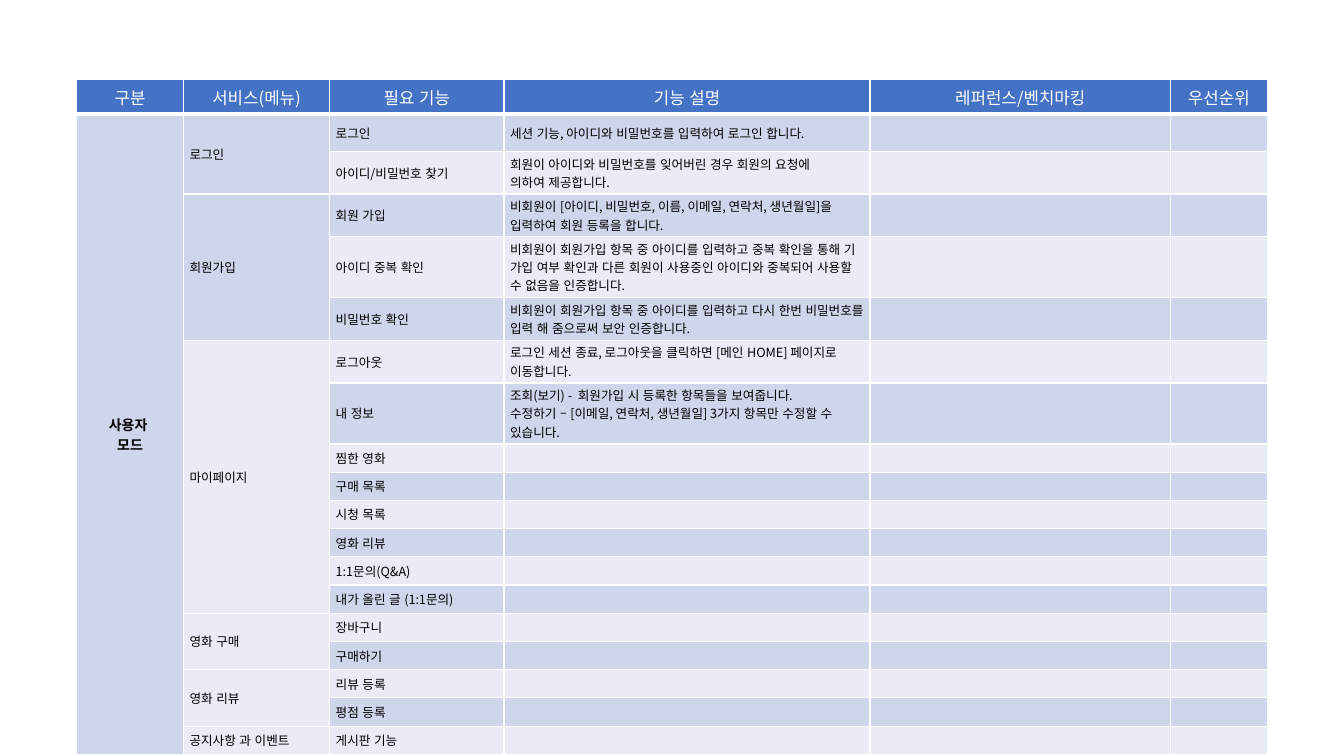
"""Build the feature list slide for a movie service's user mode."""
from dataclasses import dataclass
from lxml import etree
from pptx import Presentation
from pptx.dml.color import RGBColor
from pptx.enum.lang import MSO_LANGUAGE_ID
from pptx.enum.text import MSO_ANCHOR, PP_ALIGN
from pptx.oxml.ns import qn
from pptx.util import Inches, Pt

MIDDLE, CENTER, LEFT = MSO_ANCHOR.MIDDLE, PP_ALIGN.CENTER, PP_ALIGN.LEFT
KOREAN = MSO_LANGUAGE_ID.KOREAN

HEADERS = ["구분", "서비스(메뉴)", "필요 기능", "기능 설명", "레퍼런스/벤치마킹", "우선순위"]
MODE = ["사용자 ", "모드"]
SERVICES = [
    ("로그인", [
        ("로그인", ["세션 기능, 아이디와 비밀번호를 입력하여 로그인 합니다."]),
        ("아이디/비밀번호 찾기", ["회원이 아이디와 비밀번호를 잊어버린 경우 회원의 요청에",
                         "의하여 제공합니다."]),
    ]),
    ("회원가입", [
        ("회원 가입", ["비회원이 [아이디, 비밀번호, 이름, 이메일, 연락처, 생년월일]을 입력하여 "
                   "회원 등록을 합니다."]),
        ("아이디 중복 확인", ["비회원이 회원가입 항목 중 아이디를 입력하고 중복 확인을 통해 기 가입 여부 "
                       "확인과 다른 회원이 사용중인 아이디와 중복되어 사용할 수 없음을 인증합니다."]),
        ("비밀번호 확인", ["비회원이 회원가입 항목 중 아이디를 입력하고 다시 한번 비밀번호를 "
                     "입력 해 줌으로써 보안 인증합니다."]),
    ]),
    ("마이페이지", [
        ("로그아웃", ["로그인 세션 종료, 로그아웃을 클릭하면 [메인 HOME] 페이지로 이동합니다."]),
        ("내 정보", ["조회(보기) -  회원가입 시 등록한 항목들을 보여줍니다.",
                  "수정하기 – [이메일, 연락처, 생년월일] 3가지 항목만 수정할 수 있습니다."]),
        ("찜한 영화", [""]),
        ("구매 목록", [""]),
        ("시청 목록", [""]),
        ("영화 리뷰", [""]),
        ("1:1문의(Q&A)", [""]),
        ("내가 올린 글 (1:1문의)", [""]),
    ]),
    ("영화 구매", [("장바구니", [""]), ("구매하기", [""])]),
    ("영화 리뷰", [("리뷰 등록", [""]), ("평점 등록", [""])]),
    ("공지사항 과 이벤트", [("게시판 기능", [""])]),
]
COLUMNS = [1.06, 1.45, 1.73, 3.63, 2.98, 0.96]
ROW, TALL_ROW, TALL_ROWS = 0.28, 0.37, (1, 2, 3)
LEFT_EDGE, TOP_EDGE = 0.76, 0.79


@dataclass(frozen=True)
class Theme:
    font: str = "Noto Sans CJK KR"
    header: str = "4472C4"
    bands: tuple = ("E9EBF5", "CFD5EA")
    white: str = "FFFFFF"
    black: str = "000000"
    header_size: int = 12
    mode_size: int = 10
    body_size: int = 9
    line: int = 1
    header_line: int = 3


T = Theme()
HEADER = dict(size=T.header_size, bold=False, color=T.white, align=CENTER, inset=(0.1, 0.05))
BODY = dict(size=T.body_size, bold=False, color=T.black, align=LEFT, inset=(0.06, 0.03))
MODE_STYLE = {**BODY, "size": T.mode_size, "bold": True, "align": CENTER}


def draw_borders(cell, row):
    """Draw white lines on the four sides, thicker below the header."""
    tcPr = cell._tc.get_or_add_tcPr()
    for i, side in enumerate("LRTB"):
        below_header = (row, side) in ((0, "B"), (1, "T"))
        ln = etree.Element(qn(f"a:ln{side}"))
        ln.set("w", str(Pt(T.header_line if below_header else T.line)))
        fill = etree.SubElement(ln, qn("a:solidFill"))
        etree.SubElement(fill, qn("a:srgbClr")).set("val", T.white)
        tcPr.insert(i, ln)


def write_cell(cell, lines, fill, style):
    """Fill a cell and write its lines, one paragraph each."""
    cell.fill.solid()
    cell.fill.fore_color.rgb = RGBColor.from_string(fill)
    cell.vertical_anchor = MIDDLE
    x, y = map(Inches, style["inset"])
    for side, value in dict(left=x, right=x, top=y, bottom=y).items():
        setattr(cell, f"margin_{side}", value)
    tf = cell.text_frame
    for i, line in enumerate(lines):
        p = tf.paragraphs[0] if i == 0 else tf.add_paragraph()
        p.alignment = style["align"]
        if not line:
            end = etree.SubElement(p._p, qn("a:endParaRPr"))
            end.set("sz", str(style["size"] * 100))
            continue
        r = p.add_run()
        r.text = line
        formats = dict(name=T.font, size=Pt(style["size"]), bold=style["bold"], language_id=KOREAN)
        for name, value in formats.items():
            setattr(r.font, name, value)
        r.font.color.rgb = RGBColor.from_string(style["color"])
        etree.SubElement(r._r.get_or_add_rPr(), qn("a:ea")).set("typeface", T.font)


def main():
    """Lay out the table and save the slide."""
    prs = Presentation()
    prs.slide_width, prs.slide_height = Inches(13.33), Inches(7.5)
    s = prs.slides.add_slide(prs.slide_layouts[6])
    body = [[MODE, [service], [feature], description, [""], [""]]
            for service, features in SERVICES for feature, description in features]
    for i, cells in enumerate(body):
        if i:
            cells[0] = [""]
    row, spans = 1, [(1, 0, len(body))]
    for service, features in SERVICES:
        spans.append((row, 1, len(features)))
        for hidden in body[row:row + len(features) - 1]:
            hidden[1] = [""]
        row += len(features)
    rows = [[[h] for h in HEADERS]] + body
    heights = [TALL_ROW if i in TALL_ROWS else ROW for i in range(len(rows))]
    table = s.shapes.add_table(len(rows), len(COLUMNS), Inches(LEFT_EDGE), Inches(TOP_EDGE),
                               Inches(sum(COLUMNS)), Inches(sum(heights))).table
    for column, width in zip(table.columns, COLUMNS):
        column.width = Inches(width)
    for table_row, height in zip(table.rows, heights):
        table_row.height = Inches(height)
    group_fill = {}
    for top, column, count in spans:
        for i in range(top, top + count):
            group_fill[i, column] = T.bands[top % 2]
        if count > 1:
            table.cell(top, column).merge(table.cell(top + count - 1, column))
    for i, cells in enumerate(rows):
        for j, lines in enumerate(cells):
            fill = T.header if i == 0 else group_fill.get((i, j), T.bands[i % 2])
            style = HEADER if i == 0 else MODE_STYLE if j == 0 else BODY
            write_cell(table.cell(i, j), lines, fill, style)
            draw_borders(table.cell(i, j), i)
    prs.save("out.pptx")


if __name__ == "__main__":
    main()
